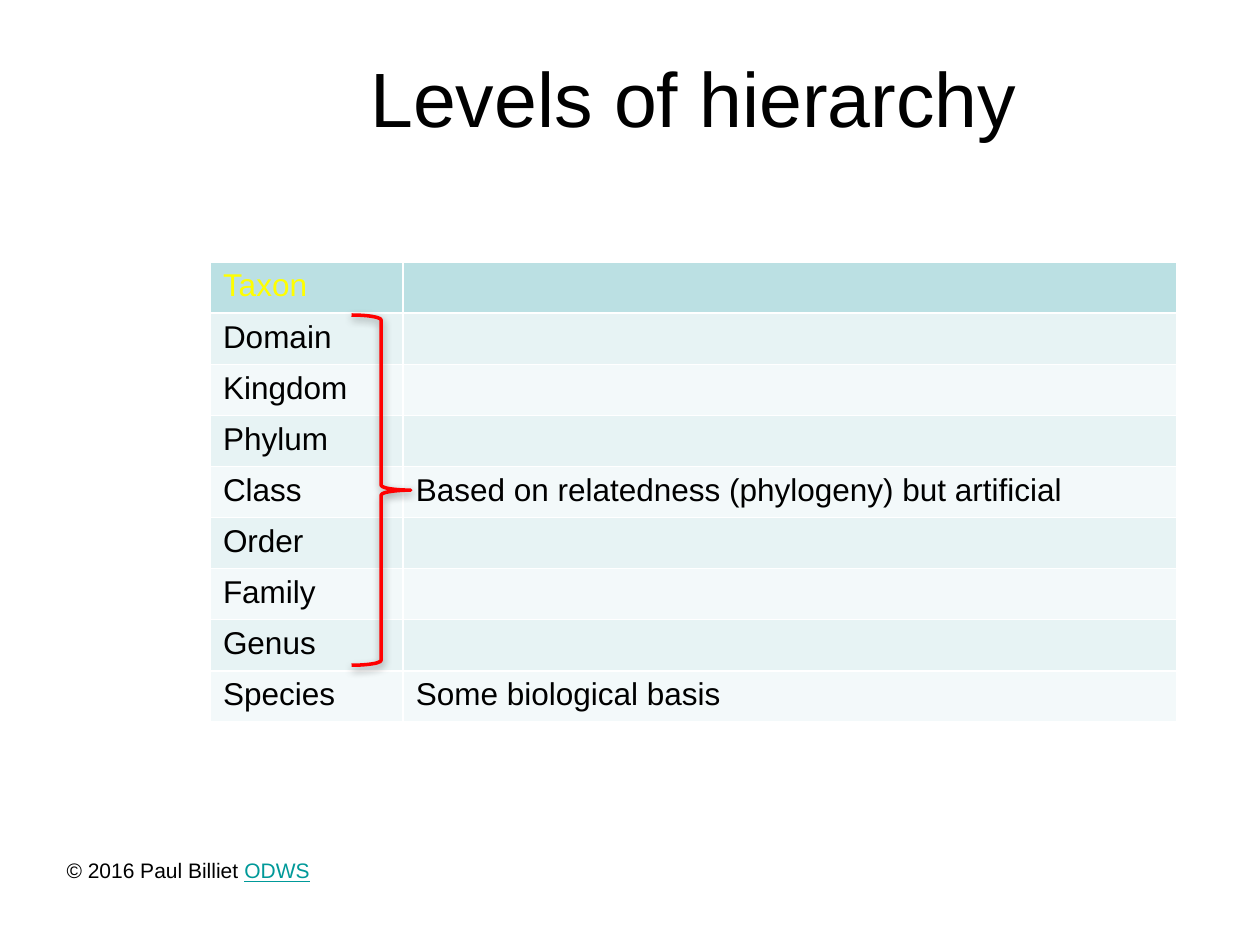
from dataclasses import dataclass

from lxml import etree
from pptx import Presentation
from pptx.dml.color import RGBColor
from pptx.enum import shapes, text
from pptx.oxml import ns
from pptx.util import Inches, Pt


@dataclass(frozen=True)
class Theme:
    font: str = "Arial"
    ink: str = "000000"
    heading: str = "FFFF00"
    header_fill: str = "BBE0E3"
    bands: tuple[str, str] = ("E7F3F4", "F3F9FA")
    grid: str = "FFFFFF"
    brace: str = "FF0000"
    link: str = "009999"
    title_size: int = 44
    table_size: int = 18
    credit_size: int = 12


@dataclass(frozen=True)
class Level:
    taxon: str
    basis: str = ""


THEME = Theme()
LEVELS = [
    Level("Taxon"),
    Level("Domain"),
    Level("Kingdom"),
    Level("Phylum"),
    Level("Class", "Based on relatedness (phylogeny) but artificial"),
    Level("Order"),
    Level("Family"),
    Level("Genus"),
    Level("Species", "Some biological basis"),
]


def rgb(value: str) -> RGBColor:
    return RGBColor.from_string(value)


def add_element(parent, tag: str, **attributes):
    return etree.SubElement(parent, ns.qn(tag), attributes)


def style(paragraph, size: int, color: str = THEME.ink) -> None:
    font = paragraph.font
    font.name = THEME.font
    font.size = Pt(size)
    font.bold = False
    font.color.rgb = rgb(color)


def draw_title(slide) -> None:
    title = slide.shapes.title
    title.left, title.top = Inches(1.67), Inches(0.21)
    title.width, title.height = Inches(7.67), Inches(1.12)
    frame = title.text_frame
    frame.text = "Levels of hierarchy"
    frame.vertical_anchor = text.MSO_ANCHOR.MIDDLE
    frame.paragraphs[0].alignment = text.PP_ALIGN.CENTER
    style(frame.paragraphs[0], THEME.title_size)


def draw_cell(cell, words: str, fill: str, color: str) -> None:
    cell.text = words
    style(cell.text_frame.paragraphs[0], THEME.table_size, color)
    properties = cell._tc.get_or_add_tcPr()
    for side in ("a:lnL", "a:lnR", "a:lnT", "a:lnB"):
        border = add_element(properties, side, w=str(Pt(1)))
        add_element(add_element(border, "a:solidFill"), "a:srgbClr", val=THEME.grid)
    cell.fill.solid()
    cell.fill.fore_color.rgb = rgb(fill)


def draw_levels(slide, levels: list[Level]) -> None:
    table = slide.shapes.add_table(
        len(levels), 2, Inches(1.67), Inches(2.08), Inches(7.67), Inches(3.65)
    ).table
    table.first_row = table.horz_banding = False
    table.columns[0].width = Inches(1.53)
    table.columns[1].width = Inches(6.14)
    for index, level in enumerate(levels):
        fill = THEME.bands[(index - 1) % 2] if index else THEME.header_fill
        color = THEME.ink if index else THEME.heading
        for column, words in enumerate((level.taxon, level.basis)):
            draw_cell(table.cell(index, column), words, fill, color)


def draw_brace(slide) -> None:
    brace = slide.shapes.add_shape(
        shapes.MSO_SHAPE.RIGHT_BRACE, Inches(2.79), Inches(2.5), Inches(0.47), Inches(2.78)
    )
    brace.fill.background()
    brace.line.color.rgb = rgb(THEME.brace)
    brace.line.width = Pt(2)
    brace.shadow.inherit = False
    effects = brace._element.spPr.find(ns.qn("a:effectLst"))
    shadow = add_element(
        effects, "a:outerShdw", blurRad=str(Pt(5)), dist=str(Pt(1.6)),
        dir="5400000", rotWithShape="0",
    )
    shade = add_element(shadow, "a:srgbClr", val=THEME.ink)
    add_element(shade, "a:alpha", val="38000")


def draw_credit(slide) -> None:
    frame = slide.shapes.add_textbox(
        Inches(0.43), Inches(6.76), Inches(2.38), Inches(0.3)
    ).text_frame
    frame.word_wrap = True
    frame.auto_size = text.MSO_AUTO_SIZE.SHAPE_TO_FIT_TEXT
    credit = frame.paragraphs[0]
    style(credit, THEME.credit_size)
    credit.add_run().text = "© 2016 Paul Billiet "
    site = credit.add_run()
    site.text = "ODWS"
    site.font.underline = True
    site.font.color.rgb = rgb(THEME.link)


def main() -> None:
    deck = Presentation()
    deck.slide_width, deck.slide_height = Inches(10), Inches(7.5)
    slide = deck.slides.add_slide(deck.slide_layouts[5])
    draw_title(slide)
    draw_levels(slide, LEVELS)
    draw_brace(slide)
    draw_credit(slide)
    deck.save("out.pptx")


if __name__ == "__main__":
    main()
